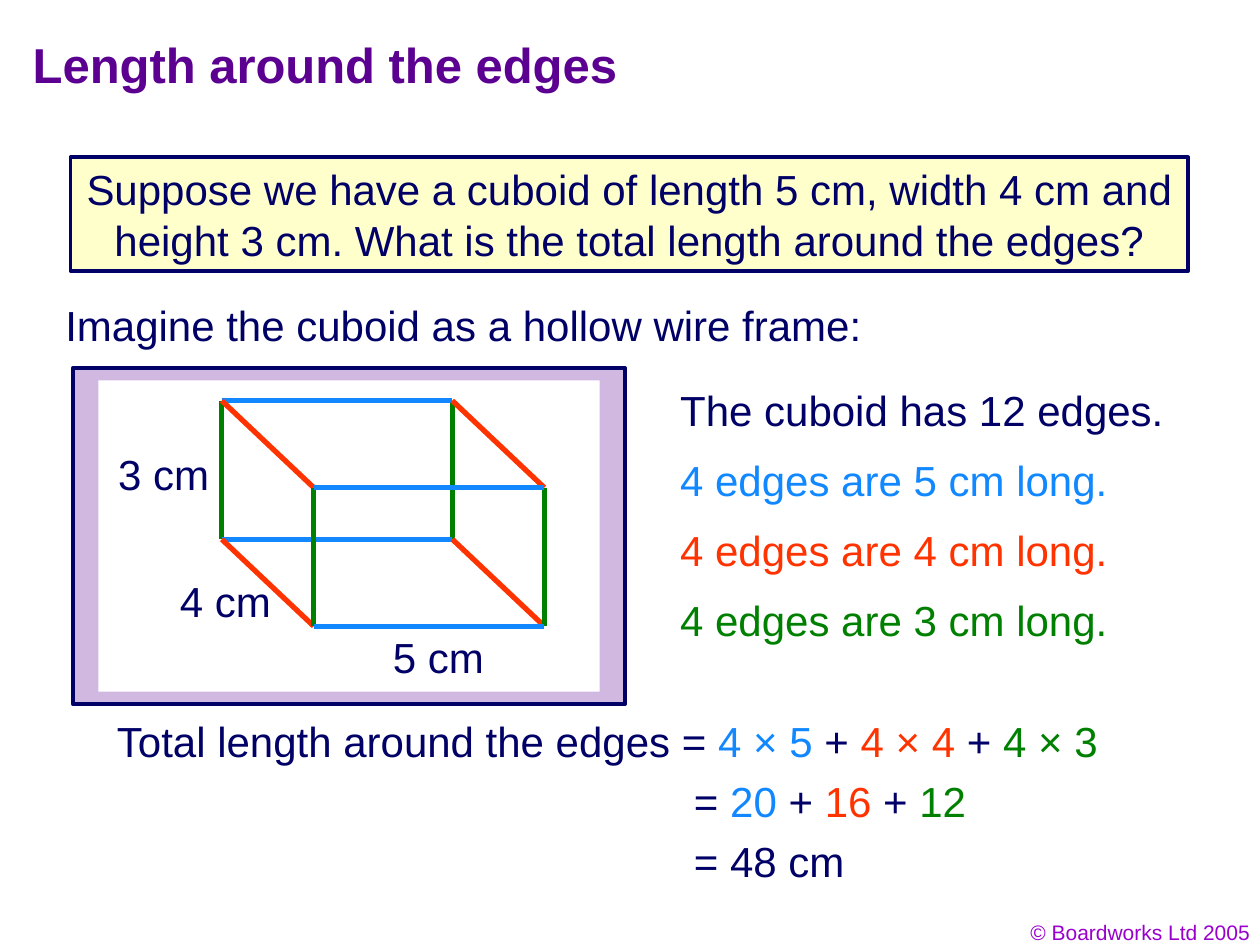
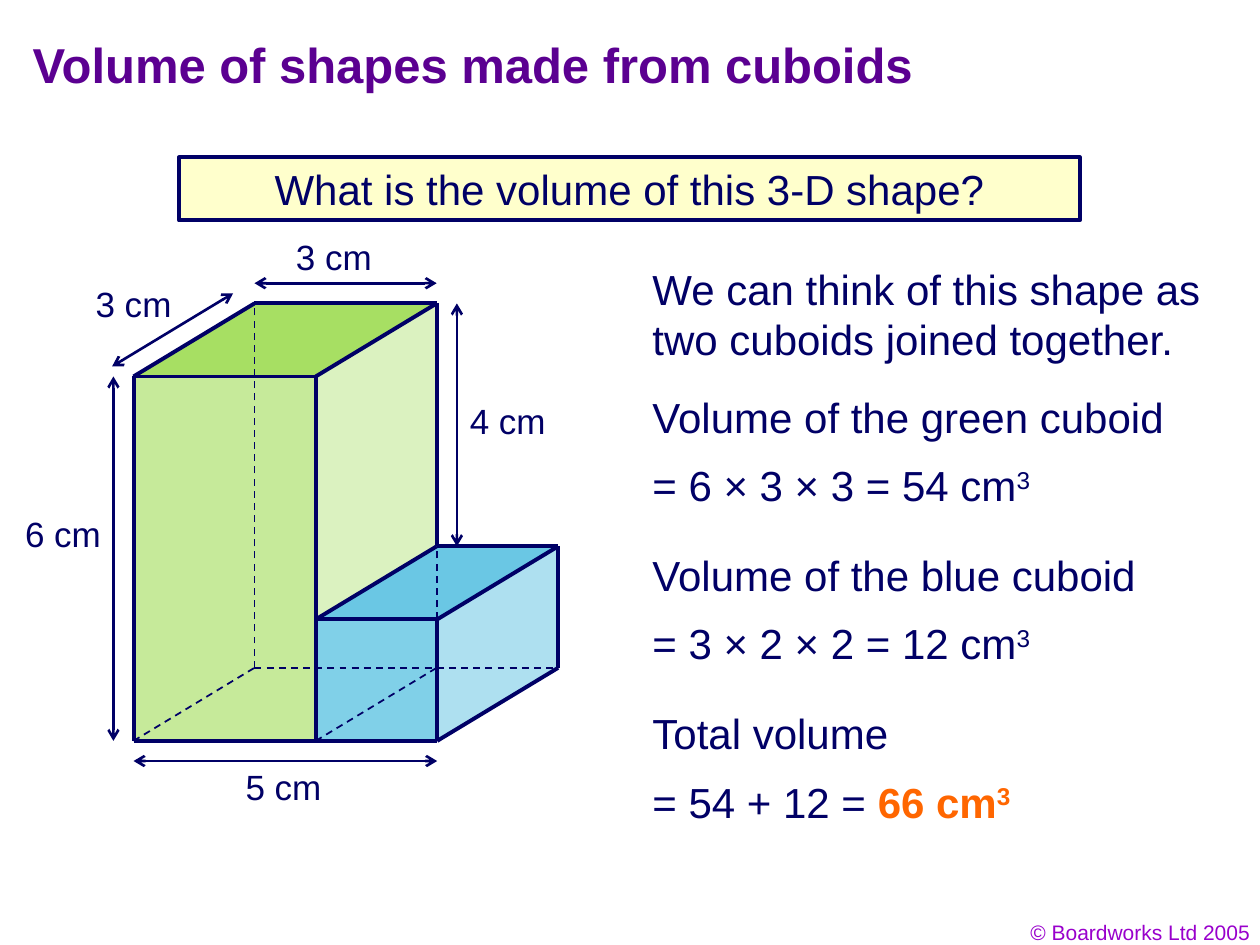
from dataclasses import dataclass
from itertools import product

from lxml import etree
from pptx import Presentation
from pptx.dml.color import RGBColor
from pptx.enum.dml import MSO_LINE
from pptx.enum.shapes import MSO_CONNECTOR, MSO_SHAPE
from pptx.enum.text import MSO_ANCHOR, PP_ALIGN
from pptx.oxml.ns import qn
from pptx.util import Inches, Pt


@dataclass(frozen=True)
class Theme:
    """Hold the colours, font and type sizes of the lesson."""
    font: str = "Arial"
    title_size: int = 28
    body_size: int = 24
    label_size: int = 20
    footer_size: int = 12
    title: str = "5B0091"
    footer: str = "9900CC"
    line: str = "000066"
    text: str = "010066"
    question: str = "FFFFCC"
    panel: str = "D0B8E0"
    paper: str = "FFFFFF"
    length: str = "1188FF"
    width: str = "FF3300"
    height: str = "008000"
    answer: str = "FF6600"
    green_front: str = "C6EA9A"
    green_top: str = "A7DF63"
    green_side: str = "DBF2C0"
    blue_front: str = "80D0E8"
    blue_top: str = "6AC7E4"
    blue_side: str = "AEE0F0"


THEME = Theme()


def apply(target, **values):
    """Set each named attribute on the target."""
    for name, value in values.items():
        setattr(target, name, value)


def write(frame, runs, size=THEME.body_size, color=THEME.text, align=PP_ALIGN.LEFT, bold=False):
    """Fill a frame with one paragraph of (text, changes) runs."""
    apply(frame, word_wrap=True, margin_left=Inches(0.1), margin_right=Inches(0.1),
          margin_top=Inches(0.05), margin_bottom=Inches(0.05))
    paragraph = frame.paragraphs[0]
    paragraph.alignment = align
    for text, changes in [(runs, {})] if isinstance(runs, str) else runs:
        run = paragraph.add_run()
        run.text = text
        apply(run.font, name=THEME.font, size=Pt(size), bold=changes.get("bold", bold))
        run.font.color.rgb = RGBColor.from_string(changes.get("color", color))
        if changes.get("raised"):
            run.font._element.set("baseline", "30000")


def add_text(slide, left, top, width, runs, height=0.5, **style):
    """Add a text box."""
    box = slide.shapes.add_textbox(*map(Inches, (left, top, width, height)))
    write(box.text_frame, runs, **style)


def paint(shape, fill, line_width=0):
    """Give a shape a flat fill and, if wanted, a dark outline."""
    shape.shadow.inherit = False
    shape.fill.solid()
    shape.fill.fore_color.rgb = RGBColor.from_string(fill)
    if line_width:
        shape.line.color.rgb = RGBColor.from_string(THEME.line)
        shape.line.width = Pt(line_width)
    else:
        shape.line.fill.background()
    return shape


def add_rect(slide, left, top, width, height, fill, line_width=0):
    """Add a flat rectangle."""
    rect = slide.shapes.add_shape(MSO_SHAPE.RECTANGLE, *map(Inches, (left, top, width, height)))
    return paint(rect, fill, line_width)


def add_face(slide, corners, fill):
    """Add a filled polygon through the corners."""
    points = [(Inches(x), Inches(y)) for x, y in corners]
    builder = slide.shapes.build_freeform(*points[0])
    builder.add_line_segments(points[1:], close=True)
    paint(builder.convert_to_shape(), fill)


def add_line(slide, start, end, color=THEME.line, width=2.25, dashed=False, arrows=False):
    """Add a straight line, dashed or with arrows at both ends."""
    line = slide.shapes.add_connector(MSO_CONNECTOR.STRAIGHT, *map(Inches, (*start, *end)))
    line.line.color.rgb = RGBColor.from_string(color)
    line.line.width = Pt(width)
    if dashed:
        line.line.dash_style = MSO_LINE.DASH
    if arrows:
        for tag in ("a:headEnd", "a:tailEnd"):
            etree.SubElement(line.line._get_or_add_ln(), qn(tag), type="arrow")
    etree.SubElement(line._element.spPr, qn("a:effectLst"))


def start_slide(prs, heading):
    """Add a slide with its title and footer."""
    slide = prs.slides.add_slide(prs.slide_layouts[5])
    title = slide.shapes.title
    apply(title, left=Inches(0.16), top=Inches(0.16), width=Inches(8.05), height=Inches(0.69))
    title.text_frame.vertical_anchor = MSO_ANCHOR.MIDDLE
    write(title.text_frame, heading, THEME.title_size, THEME.title, bold=True)
    add_text(slide, 7.69, 7.25, 2.33, "© Boardworks Ltd 2005", height=0.3,
             size=THEME.footer_size, color=THEME.footer, align=PP_ALIGN.RIGHT)
    return slide


def add_question(slide, left, width, height, question):
    """Add the framed question below the title."""
    frame = add_rect(slide, left, 1.25, width, height, THEME.question, 2.25)
    write(frame.text_frame, question, color=THEME.line, align=PP_ALIGN.CENTER)


def add_wire_frame(slide, left, top):
    """Draw the panel with the cuboid as twelve coloured edges."""
    add_rect(slide, left, top, 4.38, 2.67, THEME.panel, 2.25)
    add_rect(slide, left + 0.2, top + 0.1, 3.98, 2.47, THEME.paper)
    length, height = 1.83, 1.1
    back = (left + 1.18, top + 0.26)
    front = (back[0] + 0.73, back[1] + 0.69)

    def draw_end(x, y):
        """Draw the four edges of one end face."""
        for dx in (0, length):
            add_line(slide, (x + dx, y), (x + dx, y + height), THEME.height, 3)
        for dy in (0, height):
            add_line(slide, (x, y + dy), (x + length, y + dy), THEME.length, 3)

    draw_end(*back)
    for dx, dy in product((0, length), (0, height)):
        add_line(slide, (back[0] + dx, back[1] + dy), (front[0] + dx, front[1] + dy),
                 THEME.width, 3)
    draw_end(*front)
    for dx, dy, size in ((2.44, 2.04, "5 cm"), (0.75, 1.6, "4 cm"), (0.26, 0.59, "3 cm")):
        add_text(slide, left + dx, top + dy, 1, size)


def add_edge_facts(slide, left, top):
    """List how many edges there are of each length."""
    facts = [("The cuboid has 12 edges.", THEME.text),
             ("4 edges are 5 cm long.", THEME.length),
             ("4 edges are 4 cm long.", THEME.width),
             ("4 edges are 3 cm long.", THEME.height)]
    for row, (fact, color) in enumerate(facts):
        add_text(slide, left, top + row * 0.556, 4.2, fact, color=color)


def colored_sum(lead, terms):
    """Return runs for a sum with one term per edge colour."""
    runs = [(lead, {})]
    for term, color in zip(terms, (THEME.length, THEME.width, THEME.height)):
        if len(runs) > 1:
            runs.append((" + ", {}))
        runs.append((term, {"color": color}))
    return runs


def add_edge_total(slide, left, top):
    """Work out the total length in three lines."""
    indent = left + 4.58
    add_text(slide, left, top, 8.2,
             colored_sum("Total length around the edges = ", ("4 × 5", "4 × 4", "4 × 3")))
    add_text(slide, indent, top + 0.475, 2.6, colored_sum("= ", ("20", "16", "12")))
    add_text(slide, indent, top + 0.95, 1.6, "= 48 cm")


def add_joined_cuboids(slide, left, bottom):
    """Draw the two cuboids from their front bottom-left corner."""
    unit, slant, rise, gap = 0.482, 0.96, 0.58, 0.16

    def spot(x, y, depth):
        """Turn centimetres and front (0) or back (1) into a place."""
        return left + x * unit + depth * slant, bottom - y * unit - depth * rise

    def draw_cuboid(x0, x1, y1, side_base, front, top, side):
        """Fill the three visible faces of one cuboid."""
        add_rect(slide, *spot(x0, y1, 0), (x1 - x0) * unit, y1 * unit, front)
        add_face(slide, [spot(x0, y1, 0), spot(x0, y1, 1), spot(x1, y1, 1), spot(x1, y1, 0)], top)
        add_face(slide, [spot(x1, y1, 0), spot(x1, y1, 1), spot(x1, side_base, 1),
                         spot(x1, side_base, 0)], side)

    draw_cuboid(0, 3, 6, 2, THEME.green_front, THEME.green_top, THEME.green_side)
    draw_cuboid(3, 5, 2, 0, THEME.blue_front, THEME.blue_top, THEME.blue_side)

    hidden = [((0, 0, 1), (0, 6, 1)), ((0, 0, 1), (5, 0, 1)), ((3, 0, 1), (3, 2, 1)),
              ((0, 0, 0), (0, 0, 1)), ((3, 0, 0), (3, 0, 1))]
    for start, end in hidden:
        add_line(slide, spot(*start), spot(*end), width=1, dashed=True)

    visible = [((0, 6, 0), (3, 6, 0)), ((0, 0, 0), (0, 6, 0)), ((0, 0, 0), (5, 0, 0)),
               ((5, 0, 0), (5, 2, 0)), ((3, 0, 0), (3, 6, 0)), ((3, 2, 0), (5, 2, 0)),
               ((0, 6, 1), (3, 6, 1)), ((5, 0, 1), (5, 2, 1)), ((3, 2, 1), (3, 6, 1)),
               ((3, 2, 1), (5, 2, 1))]
    visible += [((x, y, 0), (x, y, 1)) for x, y in ((0, 6), (3, 6), (3, 2), (5, 2), (5, 0))]
    for start, end in visible:
        add_line(slide, spot(*start), spot(*end))

    dimensions = [((0, 6, 1), (3, 6, 1), (0, -gap), "3 cm", (1.19, -4.06)),
                  ((3, 2, 1), (3, 6, 1), (gap, 0), "4 cm", (2.57, -2.76)),
                  ((0, 0, 0), (5, 0, 0), (0, gap), "5 cm", (0.79, 0.15)),
                  ((0, 0, 0), (0, 6, 0), (-gap, 0), "6 cm", (-0.96, -1.86)),
                  ((0, 6, 0), (0, 6, 1), (-0.17, -0.08), "3 cm", (-0.4, -3.69))]
    for start, end, shift, size, (dx, dy) in dimensions:
        ends = [[place + move for place, move in zip(spot(*point), shift)]
                for point in (start, end)]
        add_line(slide, *ends, width=1.5, arrows=True)
        add_text(slide, left + dx, bottom + dy, 0.85, size, height=0.44, size=THEME.label_size)


def add_volume_working(slide, left, top):
    """Explain the volume of each cuboid and the total."""
    cubed = ("3", {"raised": True})
    answer = {"bold": True, "color": THEME.answer}
    add_text(slide, left, top, 4.69, "We can think of this shape as two cuboids joined together.",
             height=0.9)
    steps = [("Volume of the green cuboid", [("= 6 × 3 × 3 = 54 cm", {}), cubed]),
             ("Volume of the blue cuboid", [("= 3 × 2 × 2 = 12 cm", {}), cubed]),
             ("Total volume",
              [("= 54 + 12 = ", {}), ("66 cm", answer), ("3", {**answer, "raised": True})])]
    for row, (heading, working) in enumerate(steps):
        step_top = top + 1.02 + row * 1.255
        add_text(slide, left, step_top, 4.5, heading)
        add_text(slide, left, step_top + 0.54, 4.5, working)


def build_edges_slide(prs):
    """Build the slide on the length around the edges."""
    slide = start_slide(prs, "Length around the edges")
    add_question(slide, 0.56, 8.87, 0.9,
                 "Suppose we have a cuboid of length 5 cm, width 4 cm and height 3 cm. "
                 "What is the total length around the edges?")
    add_text(slide, 0.42, 2.33, 6.8, "Imagine the cuboid as a hollow wire frame:")
    add_wire_frame(slide, 0.58, 2.92)
    add_edge_facts(slide, 5.3, 3)
    add_edge_total(slide, 0.83, 5.63)


def build_volume_slide(prs):
    """Build the slide on the volume of joined cuboids."""
    slide = start_slide(prs, "Volume of shapes made from cuboids")
    add_question(slide, 1.42, 7.15, 0.5, "What is the volume of this 3-D shape?")
    add_joined_cuboids(slide, 1.06, 5.88)
    add_volume_working(slide, 5.08, 2.04)


def main():
    """Build and save both slides."""
    prs = Presentation()
    apply(prs, slide_width=Inches(10), slide_height=Inches(7.5))
    build_edges_slide(prs)
    build_volume_slide(prs)
    prs.save("out.pptx")


if __name__ == "__main__":
    main()
